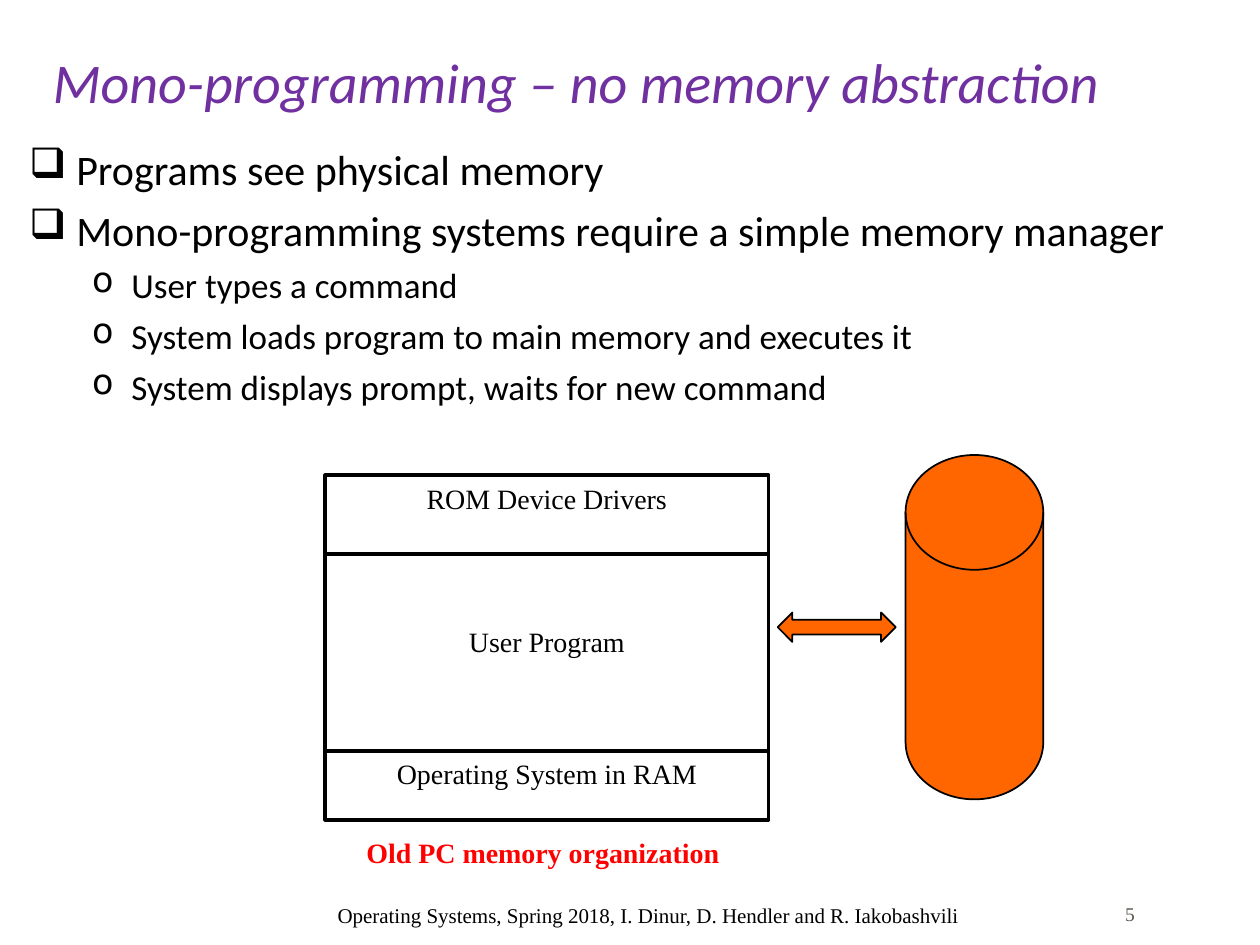
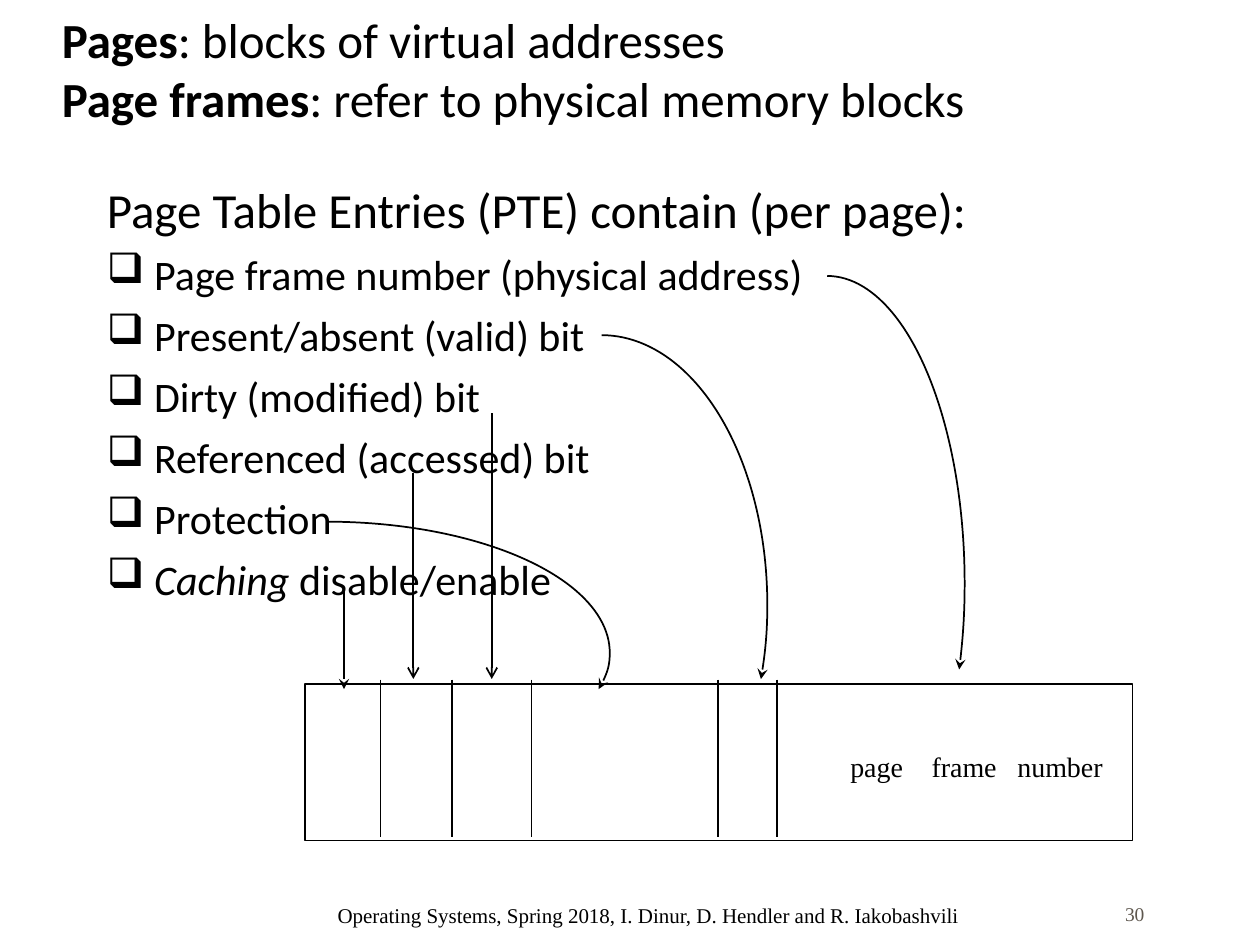
"""Build two slides on memory organization and page table entries."""
from dataclasses import dataclass

from lxml import etree
from pptx import Presentation
from pptx import util as u
from pptx.dml.color import RGBColor
from pptx.enum import shapes, text
from pptx.oxml.ns import qn

BLACK, WHITE, RED, PURPLE, ORANGE, GREY = (
    "000000", "FFFFFF", "FF0000", "7030A0", "FF6600", "5E574E")
SANS, SERIF = "Calibri", "Times New Roman"
INSETS = (7.2, 3.6, 7.2, 3.6)
NO_INSETS = (0, 0, 0, 0)
FOOTER = "Operating Systems, Spring 2018, I. Dinur, D. Hendler and R. Iakobashvili"


@dataclass(frozen=True)
class Box:
    left: float
    top: float
    width: float
    height: float

    def lengths(self):
        return [u.Pt(n) for n in (self.left, self.top, self.width, self.height)]


@dataclass(frozen=True)
class Style:
    size: float
    font: str = SERIF
    color: str = BLACK
    bold: bool = False
    italic: bool = False


@dataclass(frozen=True)
class Level:
    size: float
    indent: float
    hanging: float
    before: float
    bullet: str = ""


@dataclass(frozen=True)
class MemoryRegion:
    label: str
    top: float
    height: float
    text_inset: float = 3.6


@dataclass(frozen=True)
class DownArrow:
    x: float
    top: float
    bottom: float
    head: str


@dataclass(frozen=True)
class CurvedArrow:
    center_x: float
    center_y: float
    radius_x: float
    radius_y: float
    end_angle: float


HEADING = Level(28, 27, 27, 7)
POINT = Level(24, 27, 27, 6, "❑")
SUBPOINT = Level(20, 58.5, 22.5, 5, "o")
LABEL = Style(16)

REGIONS = [
    MemoryRegion("ROM Device Drivers", 271.5, 45),
    MemoryRegion("User Program", 316.5, 112.5, 40.4),
    MemoryRegion("Operating System in RAM", 429, 39.5),
]
DIVIDERS = [217.4, 258.5, 303.8, 410.4, 444.2]
DOWN_ARROWS = [
    DownArrow(196.6, 337.7, 393.8, "stealth"),
    DownArrow(236.2, 270, 388, "arrow"),
    DownArrow(281, 236.2, 388, "arrow"),
]
CURVED_ARROWS = [
    CurvedArrow(472.7, 333.4, 78.5, 175.7, 33.1),
    CurvedArrow(343.8, 345.6, 94.7, 154.1, 25),
    CurvedArrow(186.5, 373, 162, 74.9, 7.6),
]


def rgb(color: str) -> RGBColor:
    return RGBColor.from_string(color)


def apply_style(font, style: Style) -> None:
    font.size, font.name = u.Pt(style.size), style.font
    font.bold, font.italic = style.bold, style.italic
    font.color.rgb = rgb(style.color)


def set_frame(frame, insets=INSETS, anchor=text.MSO_ANCHOR.TOP) -> None:
    frame.word_wrap = True
    frame.auto_size = text.MSO_AUTO_SIZE.NONE
    frame.vertical_anchor = anchor
    (frame.margin_left, frame.margin_top,
     frame.margin_right, frame.margin_bottom) = [u.Pt(n) for n in insets]


def add_label(slide, box: Box, words: str, style: Style):
    shape = slide.shapes.add_textbox(*box.lengths())
    set_frame(shape.text_frame)
    paragraph = shape.text_frame.paragraphs[0]
    paragraph.text = words
    apply_style(paragraph.runs[0].font, style)
    return paragraph


def add_title(slide, box: Box, lines: list, style: Style, insets, anchor) -> None:
    title = slide.shapes.title
    title.left, title.top, title.width, title.height = box.lengths()
    set_frame(title.text_frame, insets, anchor)
    title.text_frame.text = "\v".join(lines)
    paragraph = title.text_frame.paragraphs[0]
    paragraph.alignment = text.PP_ALIGN.LEFT
    for run in paragraph.runs:
        apply_style(run.font, style)


def embolden_terms(paragraph) -> None:
    terms = [run.text.partition(":") for run in paragraph.runs]
    paragraph.clear()
    for index, (term, colon, meaning) in enumerate(terms):
        if index:
            paragraph.add_line_break()
        for words, bold in ((term, True), (colon + meaning, False)):
            run = paragraph.add_run()
            run.text = words
            apply_style(run.font, Style(28, SANS, bold=bold))


def add_outline(slide, box: Box, items: list, insets):
    frame = slide.shapes.add_textbox(*box.lengths()).text_frame
    set_frame(frame, insets)
    for index, (level, words) in enumerate(items):
        paragraph = frame.add_paragraph() if index else frame.paragraphs[0]
        paragraph.text = words
        paragraph.space_before = u.Pt(level.before if index else 0)
        properties = paragraph._p.get_or_add_pPr()
        properties.set("marL", str(u.Pt(level.indent)))
        properties.set("indent", str(-u.Pt(level.hanging)))
        if level.bullet:
            color = etree.SubElement(properties, qn("a:buClr"))
            etree.SubElement(color, qn("a:srgbClr"), val=BLACK)
            etree.SubElement(properties, qn("a:buChar"), char=level.bullet)
        apply_style(paragraph.runs[0].font, Style(level.size, SANS))
    return frame


def add_figure(slide, kind, box: Box, fill: str = "", line_width: float = 1):
    shape = slide.shapes.add_shape(kind, *box.lengths())
    shape.shadow.inherit = False
    if fill:
        shape.fill.solid()
        shape.fill.fore_color.rgb = rgb(fill)
    else:
        shape.fill.background()
    shape.line.color.rgb = rgb(BLACK)
    shape.line.width = u.Pt(line_width)
    return shape


def add_head(shape, head: str) -> None:
    outline = shape._element.spPr.find(qn("a:ln"))
    etree.SubElement(outline, qn("a:tailEnd"), type=head)


def add_vertical(slide, x: float, top: float, bottom: float, head: str = "") -> None:
    line = slide.shapes.add_connector(
        shapes.MSO_CONNECTOR.STRAIGHT, u.Pt(x), u.Pt(top), u.Pt(x), u.Pt(bottom))
    line.line.color.rgb = rgb(BLACK)
    line.line.width = u.Pt(1)
    if head:
        add_head(line, head)
    etree.SubElement(line._element.spPr, qn("a:effectLst"))


def add_curve(slide, arrow: CurvedArrow) -> None:
    box = Box(arrow.center_x - arrow.radius_x, arrow.center_y - arrow.radius_y,
              2 * arrow.radius_x, 2 * arrow.radius_y)
    curve = add_figure(slide, shapes.MSO_SHAPE.ARC, box)
    for index, degrees in enumerate((270, arrow.end_angle)):
        curve.adjustments[index] = degrees * 0.6
    add_head(curve, "stealth")


def add_footer(slide, number: int) -> None:
    page = add_label(slide, Box(635.8, 513.4, 60.5, 21.6), str(number),
                     Style(11.1, color=GREY))
    page.alignment = text.PP_ALIGN.JUSTIFY
    page.line_spacing = 0.9
    add_label(slide, Box(185.8, 512, 412.6, 28), FOOTER, Style(12))


def build_mono_programming(slide) -> None:
    add_outline(slide, Box(16.6, 82, 703.4, 400), [
        (POINT, "Programs see physical memory"),
        (POINT, "Mono-programming systems require a simple memory manager"),
        (SUBPOINT, "User types a command"),
        (SUBPOINT, "System loads program to main memory and executes it"),
        (SUBPOINT, "System displays prompt, waits for new command"),
    ], NO_INSETS)
    add_title(slide, Box(30.2, 23.8, 679, 41.8),
              ["Mono-programming – no memory abstraction"],
              Style(32, SANS, PURPLE, italic=True), NO_INSETS, text.MSO_ANCHOR.BOTTOM)
    for region in REGIONS:
        shape = add_figure(slide, shapes.MSO_SHAPE.RECTANGLE,
                           Box(185.8, region.top, 253.4, region.height), WHITE, 2)
        set_frame(shape.text_frame, (7.2, region.text_inset, 7.2, 3.6))
        shape.text_frame.text = region.label
        paragraph = shape.text_frame.paragraphs[0]
        paragraph.alignment = text.PP_ALIGN.CENTER
        apply_style(paragraph.runs[0].font, LABEL)
    add_label(slide, Box(202.3, 473.8, 242, 26.6), "Old PC memory organization",
              Style(16, color=RED, bold=True))
    add_figure(slide, shapes.MSO_SHAPE.FLOWCHART_MAGNETIC_DISK,
               Box(517.5, 260, 78.7, 196.8), ORANGE)
    add_figure(slide, shapes.MSO_SHAPE.LEFT_RIGHT_ARROW,
               Box(444.4, 350, 67.5, 16.8), ORANGE)
    add_footer(slide, 5)


def build_page_table_entries(slide) -> None:
    add_title(slide, Box(28.1, 12.2, 680.4, 54),
              ["Pages: blocks of virtual addresses",
               "Page frames: refer to physical memory blocks"],
              Style(28, SANS), INSETS, text.MSO_ANCHOR.MIDDLE)
    embolden_terms(slide.shapes.title.text_frame.paragraphs[0])
    outline = add_outline(slide, Box(54, 99, 612, 372), [
        (HEADING, "Page Table Entries (PTE) contain (per page):"),
        (POINT, "Page frame number (physical address)"),
        (POINT, "Present/absent (valid) bit"),
        (POINT, "Dirty (modified) bit"),
        (POINT, "Referenced (accessed) bit"),
        (POINT, "Protection"),
        (POINT, "Caching"),
    ], INSETS)
    caching = outline.paragraphs[-1]
    caching.runs[0].font.italic = True
    rest = caching.add_run()
    rest.text = " disable/enable"
    apply_style(rest.font, Style(POINT.size, SANS))
    add_figure(slide, shapes.MSO_SHAPE.RECTANGLE, Box(174.2, 391, 473, 89.3), WHITE)
    for x in DIVIDERS:
        add_vertical(slide, x, 388.4, 478.4)
    field = add_label(slide, Box(478.8, 424.8, 166, 26.6), "page\tframe\tnumber", LABEL)
    tabs = etree.SubElement(field._p.get_or_add_pPr(), qn("a:tabLst"))
    for stop in (46.5, 95.5):
        etree.SubElement(tabs, qn("a:tab"), pos=str(u.Pt(stop)), algn="l")
    for arrow in DOWN_ARROWS:
        add_vertical(slide, arrow.x, arrow.top, arrow.bottom, arrow.head)
    for arrow in CURVED_ARROWS:
        add_curve(slide, arrow)
    add_footer(slide, 30)


def main() -> None:
    presentation = Presentation()
    presentation.slide_width, presentation.slide_height = u.Pt(720), u.Pt(540)
    title_only = presentation.slide_layouts[5]
    for build in (build_mono_programming, build_page_table_entries):
        build(presentation.slides.add_slide(title_only))
    presentation.save("out.pptx")


if __name__ == "__main__":
    main()
